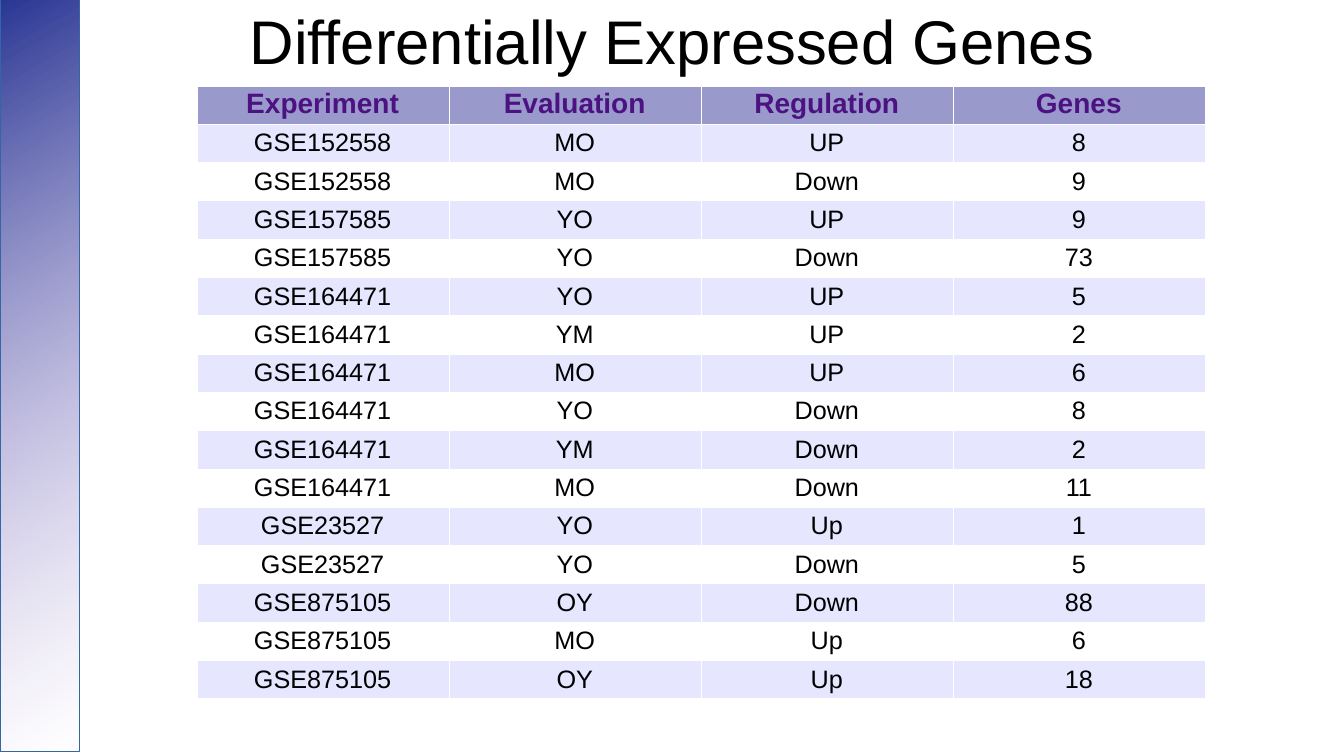
from lxml.etree import SubElement
from pptx import Presentation
from pptx.dml.color import RGBColor
from pptx.enum.shapes import MSO_SHAPE
from pptx.enum.text import MSO_ANCHOR, MSO_AUTO_SIZE, PP_ALIGN
from pptx.oxml.ns import qn
from pptx.util import Inches, Pt

BLACK = RGBColor(0x00, 0x00, 0x00)
WHITE = RGBColor(0xFF, 0xFF, 0xFF)
INDIGO = RGBColor(0x28, 0x35, 0x93)
LILAC = RGBColor(0xB3, 0x9D, 0xDB)
BLUE = RGBColor(0x34, 0x65, 0xA4)
PURPLE = RGBColor(0x4D, 0x12, 0x82)
HEADER_FILL = RGBColor(0x99, 0x99, 0xCC)
BAND_FILL = RGBColor(0xE6, 0xE6, 0xFF)

HEADINGS = ("Experiment", "Evaluation", "Regulation", "Genes")
RESULTS = [
    ("GSE152558", "MO", "UP", 8),
    ("GSE152558", "MO", "Down", 9),
    ("GSE157585", "YO", "UP", 9),
    ("GSE157585", "YO", "Down", 73),
    ("GSE164471", "YO", "UP", 5),
    ("GSE164471", "YM", "UP", 2),
    ("GSE164471", "MO", "UP", 6),
    ("GSE164471", "YO", "Down", 8),
    ("GSE164471", "YM", "Down", 2),
    ("GSE164471", "MO", "Down", 11),
    ("GSE23527", "YO", "Up", 1),
    ("GSE23527", "YO", "Down", 5),
    ("GSE875105", "OY", "Down", 88),
    ("GSE875105", "MO", "Up", 6),
    ("GSE875105", "OY", "Up", 18),
]
ROWS = [HEADINGS, *RESULTS]
COLUMN_WIDTH, ROW_HEIGHT = Inches(2.5), Inches(0.38)
CELL_MARGINS = {"margin_left": Inches(0.1), "margin_right": Inches(0.1),
                "margin_top": Inches(0.05), "margin_bottom": Inches(0.04)}
FRAME_FORMAT = {"margin_left": 0, "margin_right": 0, "margin_top": 0,
                "margin_bottom": 0, "word_wrap": True,
                "auto_size": MSO_AUTO_SIZE.NONE,
                "vertical_anchor": MSO_ANCHOR.MIDDLE}
TITLE_FONT = {"name": "Arial", "size": Pt(44), "bold": False}
HEADER_FONT = {"name": "Arial", "size": Pt(20), "bold": True}
BODY_FONT = {"name": "Arial", "size": Pt(18), "bold": False}


def format_paragraph(paragraph, font_format, color):
    paragraph.alignment = PP_ALIGN.CENTER
    for name, value in font_format.items():
        setattr(paragraph.font, name, value)
    paragraph.font.color.rgb = color


def add_cell_borders(cell, color, width):
    """Draw the four borders, which must precede the cell's fill in the XML."""
    properties = cell._tc.get_or_add_tcPr()
    for side in ("lnL", "lnR", "lnT", "lnB"):
        line = SubElement(properties, qn(f"a:{side}"), w=str(width))
        fill = SubElement(line, qn("a:solidFill"))
        SubElement(fill, qn("a:srgbClr"), val=str(color))


presentation = Presentation()
presentation.slide_width = Inches(13.33)
presentation.slide_height = Inches(7.5)
slide = presentation.slides.add_slide(presentation.slide_layouts[5])

# Results table
table = slide.shapes.add_table(
    len(ROWS), len(HEADINGS), Inches(1.95), Inches(0.85),
    COLUMN_WIDTH * len(HEADINGS), ROW_HEIGHT * len(ROWS)).table
for column in table.columns:
    column.width = COLUMN_WIDTH
for row_index, values in enumerate(ROWS):
    table.rows[row_index].height = ROW_HEIGHT
    is_header = row_index == 0
    row_fill = HEADER_FILL if is_header else BAND_FILL if row_index % 2 else WHITE
    for column_index, value in enumerate(values):
        cell = table.cell(row_index, column_index)
        cell.text = str(value)
        for name, margin in CELL_MARGINS.items():
            setattr(cell, name, margin)
        add_cell_borders(cell, WHITE, Pt(0.06))
        cell.fill.solid()
        cell.fill.fore_color.rgb = row_fill
        paragraph = cell.text_frame.paragraphs[0]
        if is_header:
            paragraph.line_spacing = 0.9
            paragraph.space_after = Pt(14.2)
        format_paragraph(paragraph, HEADER_FONT if is_header else BODY_FONT,
                         PURPLE if is_header else BLACK)

# Side bar fading to transparent
side_bar = slide.shapes.add_shape(MSO_SHAPE.RECTANGLE, 0, Inches(-0.04),
                                  Inches(0.79), presentation.slide_height)
side_bar.shadow.inherit = False
side_bar.line.color.rgb = BLUE
side_bar.line.width = Pt(0.75)
side_bar.fill.gradient()
side_bar.fill.gradient_angle = 300
for stop, color, position in zip(side_bar.fill.gradient_stops, (INDIGO, LILAC), (0, 1)):
    stop.color.rgb = color
    stop.position = position
end_color = side_bar._element.spPr.findall(f".//{qn('a:gs')}")[-1][0]
SubElement(end_color, qn("a:alpha"), val="0")

# Title
title = slide.shapes.title
title.left, title.top = Inches(0.67), Inches(0.16)
title.width, title.height = Inches(12), Inches(0.47)
title.text = "Differentially Expressed Genes"
for name, value in FRAME_FORMAT.items():
    setattr(title.text_frame, name, value)
format_paragraph(title.text_frame.paragraphs[0], TITLE_FONT, BLACK)

presentation.save("out.pptx")
